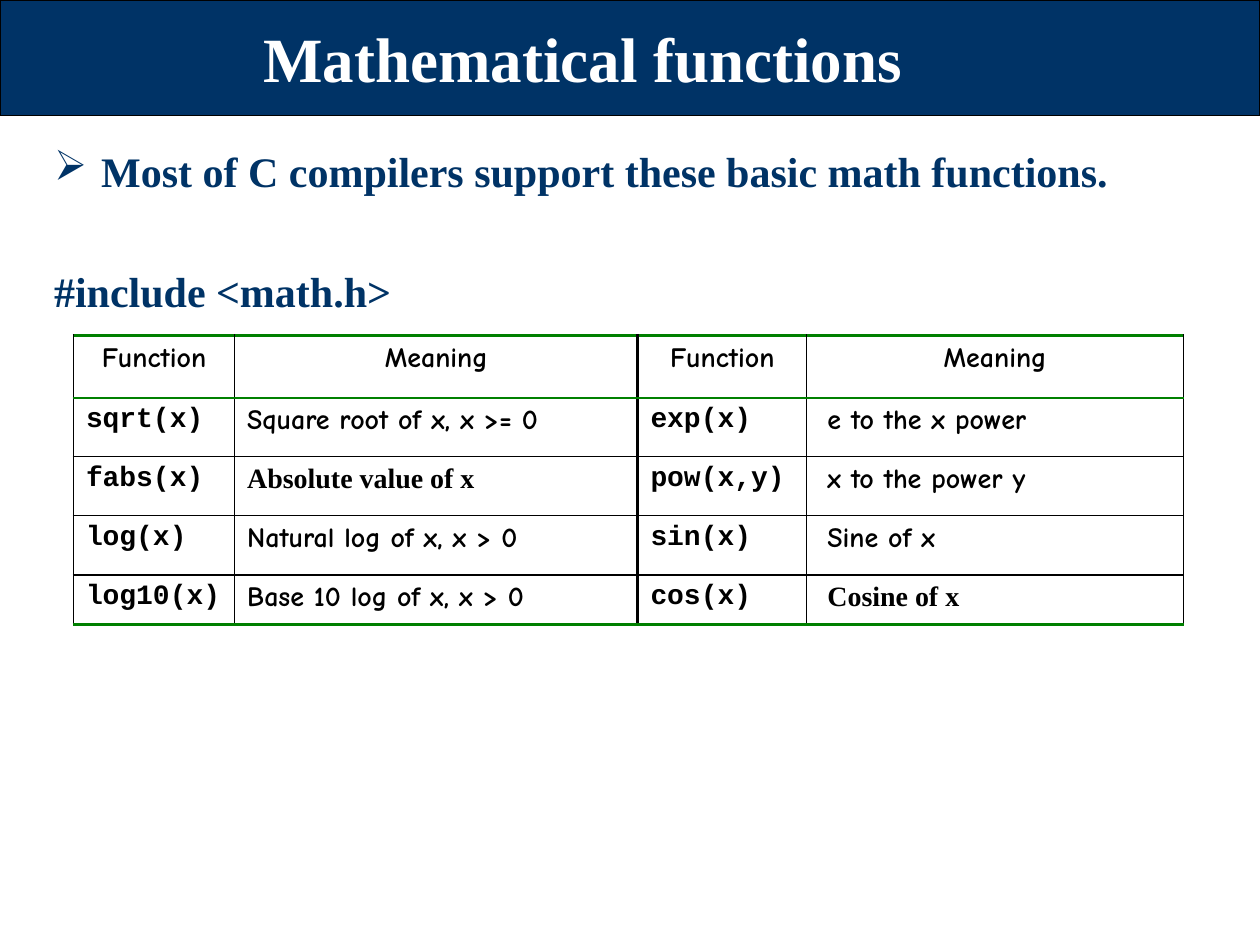
from dataclasses import dataclass

from lxml.etree import SubElement
from pptx import Presentation
from pptx.dml.color import RGBColor
from pptx.enum.shapes import MSO_SHAPE as Shape
from pptx.enum.text import MSO_ANCHOR as Anchor, PP_ALIGN as Align
from pptx.oxml.ns import qn
from pptx.util import Cm, Pt


@dataclass(frozen=True)
class Theme:
    navy: str = "003366"
    white: str = "FFFFFF"
    black: str = "000000"
    green: str = "008000"
    serif: str = "Times New Roman"
    mono: str = "Courier New"
    casual: str = "Comic Neue"
    title_size: int = 36
    body_size: int = 24
    table_size: int = 16


@dataclass(frozen=True)
class Rule:
    color: str
    width: float


@dataclass(frozen=True)
class MathFunction:
    call: str
    meaning: str
    meaning_font: str


THEME = Theme()

# Each row of the table pairs one entry from the left with one from the right.
LEFT_FUNCTIONS = [
    MathFunction("sqrt(x)", "Square root of x, x >= 0", THEME.casual),
    MathFunction("fabs(x)", "Absolute value of x", THEME.serif),
    MathFunction("log(x)", "Natural log of x, x > 0", THEME.casual),
    MathFunction("log10(x)", "Base 10 log of x, x > 0", THEME.casual),
]
RIGHT_FUNCTIONS = [
    MathFunction("exp(x)", "e to the x power", THEME.casual),
    MathFunction("pow(x,y)", "x to the power y", THEME.casual),
    MathFunction("sin(x)", "Sine of x", THEME.casual),
    MathFunction("cos(x)", "Cosine of x", THEME.serif),
]
COLUMN_WIDTHS = [3.25, 8.13, 3.4, 7.6]
ROW_HEIGHTS = [1.25, 1.19, 1.19, 1.19, 1.0]

THIN, MEDIUM, THICK = (Rule(THEME.black, width) for width in (0.75, 1, 2))
VERTICAL_RULES = [MEDIUM, MEDIUM, THICK, MEDIUM, MEDIUM]
GREEN_THICK, GREEN_THIN = Rule(THEME.green, 2), Rule(THEME.green, 1)
HORIZONTAL_RULES = [GREEN_THICK, GREEN_THIN, THIN, THIN, THIN, GREEN_THICK]


def style(paragraph, font_name: str, size: int, color: str) -> None:
    for run in paragraph.runs:
        run.font.name = font_name
        run.font.size = Pt(size)
        run.font.bold = True
        run.font.color.rgb = RGBColor.from_string(color)


def hang_indent(paragraph, indent: Cm, bullet: str = "") -> None:
    properties = paragraph._p.get_or_add_pPr()
    properties.set("marL", str(indent))
    properties.set("indent", str(-indent))
    if bullet:
        SubElement(properties, qn("a:buChar")).set("char", bullet)
    else:
        SubElement(properties, qn("a:buNone"))


def add_title(slide, slide_width: int) -> None:
    band = slide.shapes.add_shape(Shape.RECTANGLE, 0, 0, slide_width, Cm(2.33))
    band.shadow.inherit = False
    band.fill.solid()
    band.fill.fore_color.rgb = RGBColor.from_string(THEME.navy)
    band.line.color.rgb = RGBColor.from_string(THEME.black)
    band.line.width = Pt(0.75)

    title = slide.shapes.add_textbox(Cm(0.64), Cm(0.2), Cm(22.22), Cm(1.9)).text_frame
    title.word_wrap = True
    title.vertical_anchor = Anchor.MIDDLE
    title.text = "Mathematical functions"
    heading = title.paragraphs[0]
    heading.alignment = Align.CENTER
    style(heading, THEME.serif, THEME.title_size, THEME.white)


def add_body(slide) -> None:
    body = slide.shapes.add_textbox(Cm(0.84), Cm(2.8), Cm(23.93), Cm(15.67)).text_frame
    body.word_wrap = True
    body.text = "Most of C compilers support these basic math functions."
    statement = body.paragraphs[0]
    include = body.add_paragraph()
    include.text = "#include <math.h>"
    hang_indent(statement, Cm(0.95), "➢")
    hang_indent(include, Cm(0.95))
    include.space_before = Pt(40)
    for paragraph in (statement, include):
        style(paragraph, THEME.serif, THEME.body_size, THEME.navy)


def draw_borders(cell, row: int, column: int) -> None:
    """Take the cell's four borders from the rules of the grid."""
    borders = {
        "a:lnL": VERTICAL_RULES[column],
        "a:lnR": VERTICAL_RULES[column + 1],
        "a:lnT": HORIZONTAL_RULES[row],
        "a:lnB": HORIZONTAL_RULES[row + 1],
    }
    properties = cell._tc.get_or_add_tcPr()
    for tag, rule in borders.items():
        line = SubElement(properties, qn(tag))
        line.set("w", str(Pt(rule.width)))
        fill = SubElement(line, qn("a:solidFill"))
        SubElement(fill, qn("a:srgbClr")).set("val", rule.color)


def fill_cell(cell, text: str, font_name: str, centered: bool) -> None:
    cell.text = text
    paragraph = cell.text_frame.paragraphs[0]
    paragraph.alignment = Align.CENTER if centered else Align.LEFT
    style(paragraph, font_name, THEME.table_size, THEME.black)
    cell.fill.background()


def add_function_table(slide) -> None:
    table = slide.shapes.add_table(
        len(ROW_HEIGHTS), len(COLUMN_WIDTHS), Cm(1.48), Cm(6.77),
        Cm(sum(COLUMN_WIDTHS)), Cm(sum(ROW_HEIGHTS)),
    ).table
    table.first_row = False
    table.horz_banding = False
    for column, width in zip(table.columns, COLUMN_WIDTHS):
        column.width = Cm(width)
    for row, height in zip(table.rows, ROW_HEIGHTS):
        row.height = Cm(height)

    contents = [[("Function", THEME.casual), ("Meaning", THEME.casual)] * 2]
    for pair in zip(LEFT_FUNCTIONS, RIGHT_FUNCTIONS):
        contents.append([
            entry
            for function in pair
            for entry in ((function.call, THEME.mono),
                          (function.meaning, function.meaning_font))
        ])
    last_column = len(COLUMN_WIDTHS) - 1
    for row, entries in enumerate(contents):
        for column, (text, font_name) in enumerate(entries):
            cell = table.cell(row, column)
            draw_borders(cell, row, column)
            fill_cell(cell, text, font_name, centered=row == 0)
            if row > 0 and column == last_column:
                cell.margin_left = Cm(0.42)


def main() -> None:
    presentation = Presentation()
    presentation.slide_width = Cm(25.4)
    presentation.slide_height = Cm(19.05)
    slide = presentation.slides.add_slide(presentation.slide_layouts[6])
    add_title(slide, presentation.slide_width)
    add_body(slide)
    add_function_table(slide)
    presentation.save("out.pptx")


if __name__ == "__main__":
    main()
